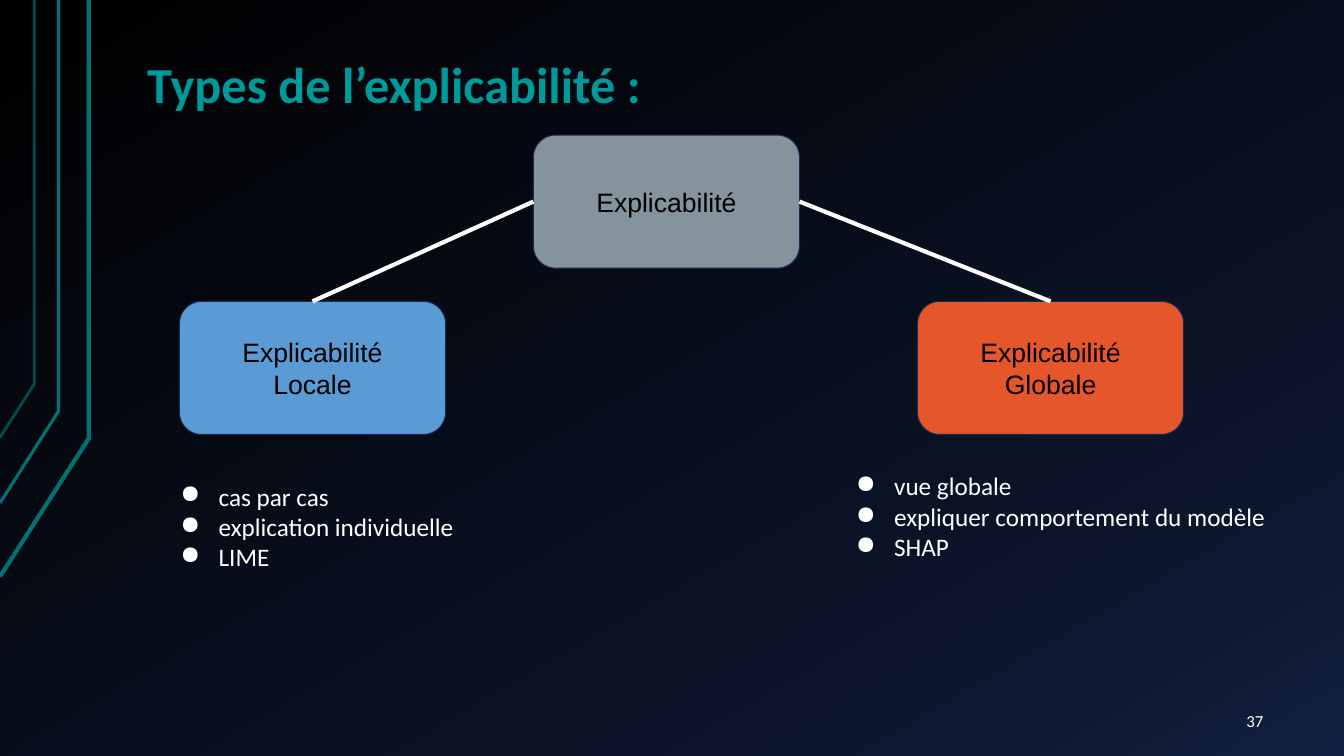
from copy import deepcopy

from lxml.etree import SubElement
from pptx import Presentation
from pptx.dml.color import RGBColor
from pptx.enum.shapes import MSO_CONNECTOR, MSO_SHAPE
from pptx.enum.text import MSO_ANCHOR, PP_ALIGN
from pptx.oxml.ns import qn
from pptx.util import Inches, Pt

BLACK = RGBColor(0x00, 0x00, 0x00)
WHITE = RGBColor(0xFF, 0xFF, 0xFF)
NIGHT = RGBColor(0x0D, 0x17, 0x2F)
NAVY = RGBColor(0x12, 0x20, 0x41)
BORDER = RGBColor(0x19, 0x2A, 0x52)
TEAL = RGBColor(0x00, 0x99, 0x99)
MID_TEAL = RGBColor(0x00, 0x72, 0x72)
DARK_TEAL = RGBColor(0x00, 0x4C, 0x4C)
GREY = RGBColor(0x85, 0x93, 0x9C)
BLUE = RGBColor(0x5B, 0x9B, 0xD5)
ORANGE = RGBColor(0xE5, 0x57, 0x2B)

NODE_WIDTH, NODE_HEIGHT = 2.64, 1.32
TOP, LEFT, RIGHT = 0, 1, 3


def format_runs(frame, font, size, color, bold=False):
    for paragraph in frame.paragraphs:
        for run in paragraph.runs:
            run.font.name = font
            run.font.size = Pt(size)
            run.font.color.rgb = color
            run.font.bold = bold


def set_insets(frame, horizontal, vertical):
    frame.margin_left = frame.margin_right = Inches(horizontal)
    frame.margin_top = frame.margin_bottom = Inches(vertical)


def paint_background(slide):
    fill = slide.background.fill
    fill.gradient()
    fill.gradient_angle = 300
    # The default gradient has two stops; add a third
    stop_list = slide.element.find(".//" + qn("a:gsLst"))
    stop_list.append(deepcopy(stop_list[-1]))
    stops = [(0, BLACK), (0.85, NIGHT), (1, NAVY)]
    for stop, (position, color) in zip(fill.gradient_stops, stops):
        stop.position = position
        stop.color.rgb = color


def draw_edge_lines(slide):
    # Distance from the left edge, bend height, end height, colour, width
    for x, bend, end, color, width in [
        (0.88, 4.35, 5.72, MID_TEAL, 3),
        (0.58, 4.08, 4.99, MID_TEAL, 2.25),
        (0.34, 3.81, 4.34, DARK_TEAL, 2),
    ]:
        builder = slide.shapes.build_freeform(0, Inches(end))
        builder.add_line_segments(
            [(Inches(x), Inches(bend)), (Inches(x), 0)], close=False)
        edge = builder.convert_to_shape()
        edge.fill.background()
        edge.line.color.rgb = color
        edge.line.width = Pt(width)
        edge.shadow.inherit = False


def set_title(slide, text, left, top, width, height):
    title = slide.shapes.title
    title.left, title.top = Inches(left), Inches(top)
    title.width, title.height = Inches(width), Inches(height)
    frame = title.text_frame
    frame.text = text
    frame.vertical_anchor = MSO_ANCHOR.BOTTOM
    set_insets(frame, 0.13, 0.07)
    frame.paragraphs[0].alignment = PP_ALIGN.LEFT
    frame.paragraphs[0].line_spacing = 0.9
    format_runs(frame, "Calibri", 36, TEAL, bold=True)


def add_page_number(slide, number, left, top, width, height):
    frame = slide.shapes.add_textbox(
        Inches(left), Inches(top), Inches(width), Inches(height)).text_frame
    frame.word_wrap = True
    frame.text = number
    frame.vertical_anchor = MSO_ANCHOR.MIDDLE
    set_insets(frame, 0.13, 0.07)
    frame.paragraphs[0].alignment = PP_ALIGN.RIGHT
    format_runs(frame, "Calibri", 12, WHITE)


def add_node(slide, text, left, top, color):
    node = slide.shapes.add_shape(
        MSO_SHAPE.ROUNDED_RECTANGLE, Inches(left), Inches(top),
        Inches(NODE_WIDTH), Inches(NODE_HEIGHT))
    node.shadow.inherit = False
    node.fill.solid()
    node.fill.fore_color.rgb = color
    node.line.color.rgb = BORDER
    node.line.width = Pt(0.75)
    frame = node.text_frame
    frame.text = text
    frame.vertical_anchor = MSO_ANCHOR.MIDDLE
    set_insets(frame, 0.1, 0.1)
    for paragraph in frame.paragraphs:
        paragraph.alignment = PP_ALIGN.CENTER
    format_runs(frame, "Arial", 19, BLACK)
    return node


def join(slide, parent, side, child):
    branch = slide.shapes.add_connector(MSO_CONNECTOR.STRAIGHT, 0, 0, 0, 0)
    branch.begin_connect(parent, side)
    branch.end_connect(child, TOP)
    branch.line.color.rgb = WHITE
    branch.line.width = Pt(3)
    SubElement(branch.element.spPr, qn("a:effectLst"))


def add_bullets(slide, items, left, top, width, height):
    frame = slide.shapes.add_textbox(
        Inches(left), Inches(top), Inches(width), Inches(height)).text_frame
    frame.word_wrap = True
    frame.text = "\n".join(items)
    set_insets(frame, 0.1, 0.1)
    for paragraph in frame.paragraphs:
        properties = paragraph._p.get_or_add_pPr()
        properties.set("marL", str(Inches(0.5)))
        properties.set("indent", str(Inches(-0.38)))
        bullet_color = SubElement(properties, qn("a:buClr"))
        SubElement(bullet_color, qn("a:srgbClr"), val=str(WHITE))
        SubElement(properties, qn("a:buChar"), char="●")
    format_runs(frame, "Calibri", 18, WHITE)


def draw_tree(slide, left, top):
    """Place the root, its two branches and their bullet lists."""
    root = add_node(slide, "Explicabilité", left + 3.51, top, GREY)
    child_top = top + 1.65
    local = add_node(slide, "Explicabilité\nLocale", left, child_top, BLUE)
    overall = add_node(
        slide, "Explicabilité\nGlobale", left + 7.32, child_top, ORANGE)
    join(slide, root, LEFT, local)
    join(slide, root, RIGHT, overall)
    add_bullets(slide, ["cas par cas", "explication individuelle", "LIME"],
                left - 0.21, top + 3.33, 3.78, 0.91)
    add_bullets(
        slide, ["vue globale", "expliquer comportement du modèle", "SHAP"],
        left + 6.49, top + 3.23, 4.62, 1.44)


def main():
    presentation = Presentation()
    presentation.slide_width = Inches(13.33)
    presentation.slide_height = Inches(7.5)
    slide = presentation.slides.add_slide(presentation.slide_layouts[5])

    # Backdrop
    paint_background(slide)
    draw_edge_lines(slide)

    # Content
    set_title(slide, "Types de l’explicabilité :", 1.33, 0.3, 11.33, 0.91)
    draw_tree(slide, 1.78, 1.34)
    add_page_number(slide, "37", 11.55, 6.95, 1.11, 0.4)

    presentation.save("out.pptx")


if __name__ == "__main__":
    main()
